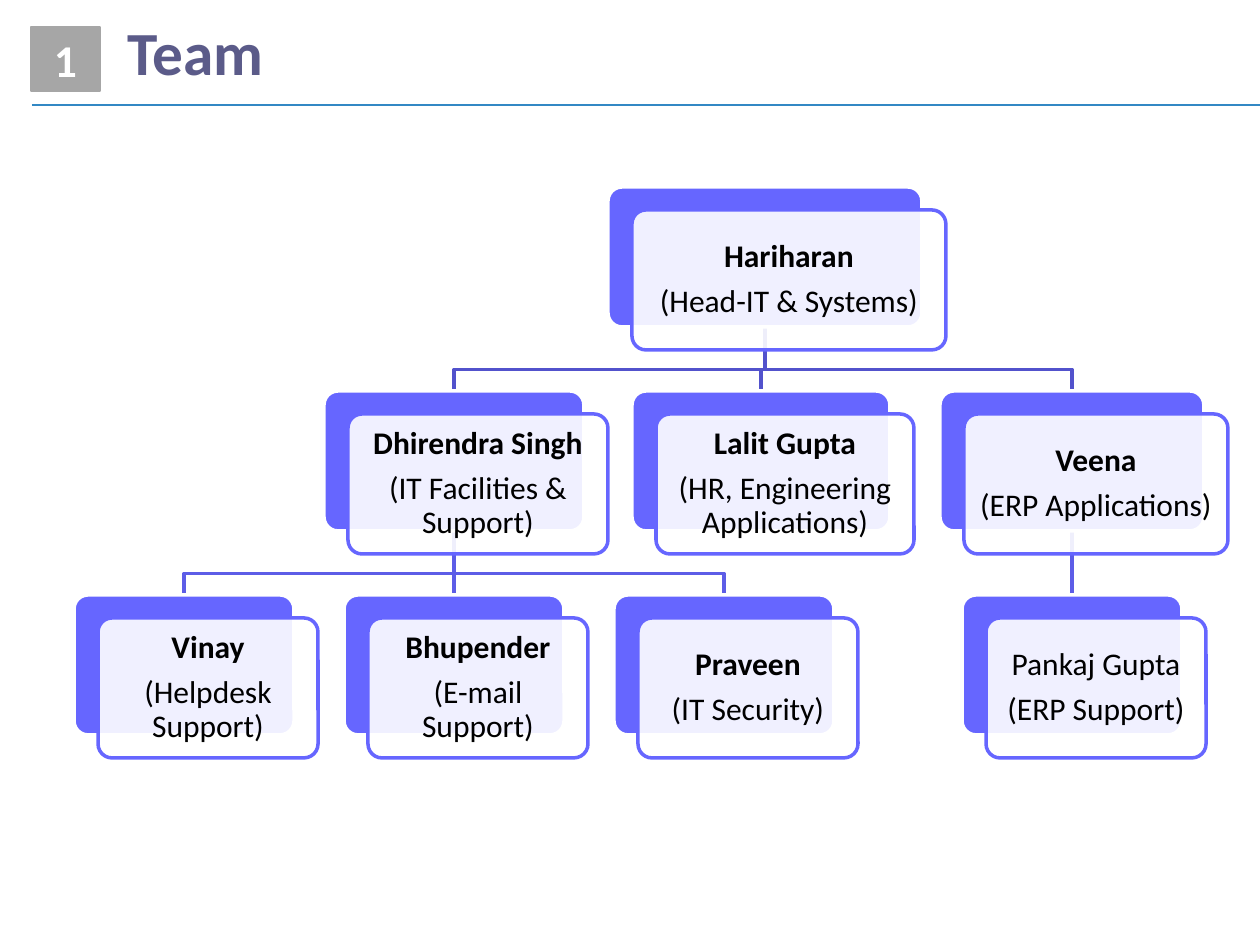
from dataclasses import dataclass

from lxml.etree import SubElement
from pptx import Presentation
from pptx.dml.color import RGBColor
from pptx.enum.shapes import MSO_CONNECTOR as Connector, MSO_SHAPE as Shape
from pptx.enum.text import MSO_ANCHOR as Anchor, PP_ALIGN as Align
from pptx.oxml.ns import qn
from pptx.util import Emu, Pt

PX_PER_INCH = 126
BOTTOM, TOP = 2, 0
BACK = 2  # first drawing position in the shape tree


@dataclass(frozen=True)
class Theme:
    font: str = "Calibri"
    white: str = "FFFFFF"
    ink: str = "000000"
    title: str = "5B5B89"
    rule: str = "3288C4"
    badge: str = "A6A6A6"
    accent: str = "6666FF"
    upper_link: str = "5252CC"
    lower_link: str = "5D5DE7"
    title_size: int = 35
    badge_size: int = 26
    card_size: int = 18
    thin: float = 0.75
    thick: float = 2


def px(value):
    return Emu(round(value * 914400 / PX_PER_INCH))


def paint_line(line, color, width):
    line.color.rgb = RGBColor.from_string(color)
    line.width = Pt(width)


class OrgSlide:
    card_height, shift_x, shift_y = 140, 24, 23

    def __init__(self, page, theme):
        self.page, self.shapes, self.theme = page, page.shapes, theme

    def add_span(self, para, text, size, color, bold=True):
        span = para.add_run()
        span.text = text
        span.font.name = self.theme.font
        span.font.size = Pt(size)
        span.font.bold = bold
        span.font.color.rgb = RGBColor.from_string(color)

    def title(self, text, left, top, width, height):
        box = self.shapes.title
        box.left, box.top, box.width, box.height = map(px, (left, top, width, height))
        box.text_frame.vertical_anchor = Anchor.MIDDLE
        para = box.text_frame.paragraphs[0]
        para.alignment = Align.LEFT
        para.line_spacing = 0.8
        self.add_span(para, text, self.theme.title_size, self.theme.title)

    def block(self, kind, left, top, width, height, fill, line, weight, inset=0):
        box = self.shapes.add_shape(kind, *map(px, (left, top, width, height)))
        box.shadow.inherit = False
        box.fill.solid()
        box.fill.fore_color.rgb = RGBColor.from_string(fill)
        paint_line(box.line, line, weight)
        frame = box.text_frame
        frame.word_wrap = True
        frame.vertical_anchor = Anchor.MIDDLE
        frame.margin_left = frame.margin_right = px(inset)
        frame.margin_top = frame.margin_bottom = px(inset)
        frame.paragraphs[0].alignment = Align.CENTER
        return box

    def badge(self, text, left, top, width, height):
        theme = self.theme
        box = self.block(Shape.RECTANGLE, left, top, width, height,
                         theme.badge, theme.badge, theme.thin)
        self.add_span(box.text_frame.paragraphs[0], text, theme.badge_size, theme.white)

    def straight(self, start, end, color, width):
        line = self.shapes.add_connector(Connector.STRAIGHT, *map(px, start + end))
        paint_line(line.line, color, width)
        SubElement(line._element.spPr, qn("a:effectLst"))
        return line

    def card(self, name, role, left, top, width, bold=True):
        theme = self.theme
        back = self.block(Shape.ROUNDED_RECTANGLE, left, top, width, self.card_height,
                          theme.accent, theme.white, theme.thick)
        panel = self.block(Shape.ROUNDED_RECTANGLE, left + self.shift_x,
                           top + self.shift_y, width, self.card_height,
                           theme.white, theme.accent, theme.thick, inset=9)
        for box in (back, panel):
            box.adjustments[0] = 0.1
        # Let the back plate show faintly through the panel
        color = panel._element.spPr.find(qn("a:solidFill")).find(qn("a:srgbClr"))
        SubElement(color, qn("a:alpha"), val="90000")
        frame = panel.text_frame
        lines = ((frame.paragraphs[0], name, bold), (frame.add_paragraph(), role, False))
        for para, text, heavy in lines:
            para.alignment = Align.CENTER
            para.line_spacing = 0.9
            para.space_after = Pt(theme.card_size * 0.35)
            self.add_span(para, text, theme.card_size, theme.ink, heavy)
        return back

    def link(self, parent, child, color):
        """Join parent to child behind the cards, bending two thirds of the way."""
        start_x, start_y = parent.left + parent.width // 2, parent.top + parent.height
        end_x, end_y = child.left + child.width // 2, child.top
        if abs(start_x - end_x) < px(1):
            line = self.straight((0, 0), (1, 1), color, self.theme.thick)
            line.begin_connect(parent, BOTTOM)
            line.end_connect(child, TOP)
        else:
            bend = start_y + (end_y - start_y) * 2 // 3
            outline = self.shapes.build_freeform(start_x, start_y)
            outline.add_line_segments([(start_x, bend), (end_x, bend), (end_x, end_y)],
                                      close=False)
            line = outline.convert_to_shape()
            line.shadow.inherit = False
            line.fill.background()
            paint_line(line.line, color, self.theme.thick)
        self.shapes._spTree.insert(BACK, line._element)


def main():
    deck = Presentation()
    deck.slide_width, deck.slide_height = px(1260), px(945)
    theme = Theme()
    slide = OrgSlide(deck.slides.add_slide(deck.slide_layouts[5]), theme)

    # Header
    slide.straight((32, 105), (1260, 105), theme.rule, theme.thin)
    slide.title("Team", 115, 9, 1143, 97)
    slide.badge("1", 31, 27, 69, 64)

    # Cards: three levels at an even pitch
    head_row, lead_row, staff_row = (187 + 204 * level for level in range(3))
    staff_width = 220
    head = slide.card("Hariharan", "(Head-IT & Systems)", 608, head_row, 314)
    facilities, engineering, erp = [
        slide.card(name, role, left, lead_row, width)
        for name, role, left, width in (
            ("Dhirendra Singh", "(IT Facilities & Support)", 324, 260),
            ("Lalit Gupta", "(HR, Engineering Applications)", 632, 258),
            ("Veena", "(ERP Applications)", 940, 264),
        )
    ]
    facilities_staff = [
        slide.card(name, role, 74 + 270 * column, staff_row, staff_width)
        for column, (name, role) in enumerate((
            ("Vinay", "(Helpdesk Support)"),
            ("Bhupender", "(E-mail Support)"),
            ("Praveen", "(IT Security)"),
        ))
    ]
    erp_staff = slide.card("Pankaj Gupta", "(ERP Support)", 962, staff_row,
                           staff_width, bold=False)

    # Reporting lines
    for lead in (facilities, engineering, erp):
        slide.link(head, lead, theme.upper_link)
    for person in facilities_staff:
        slide.link(facilities, person, theme.lower_link)
    slide.link(erp, erp_staff, theme.lower_link)

    deck.save("out.pptx")


if __name__ == "__main__":
    main()
